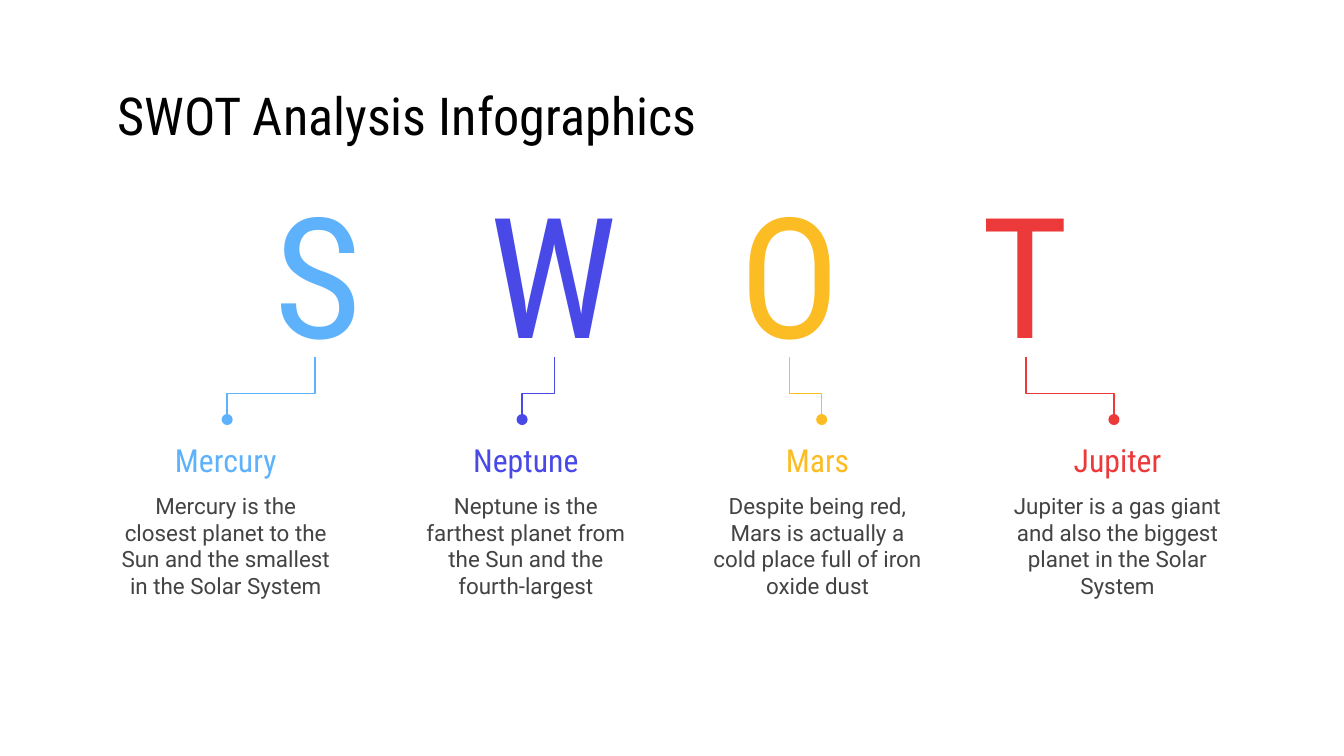
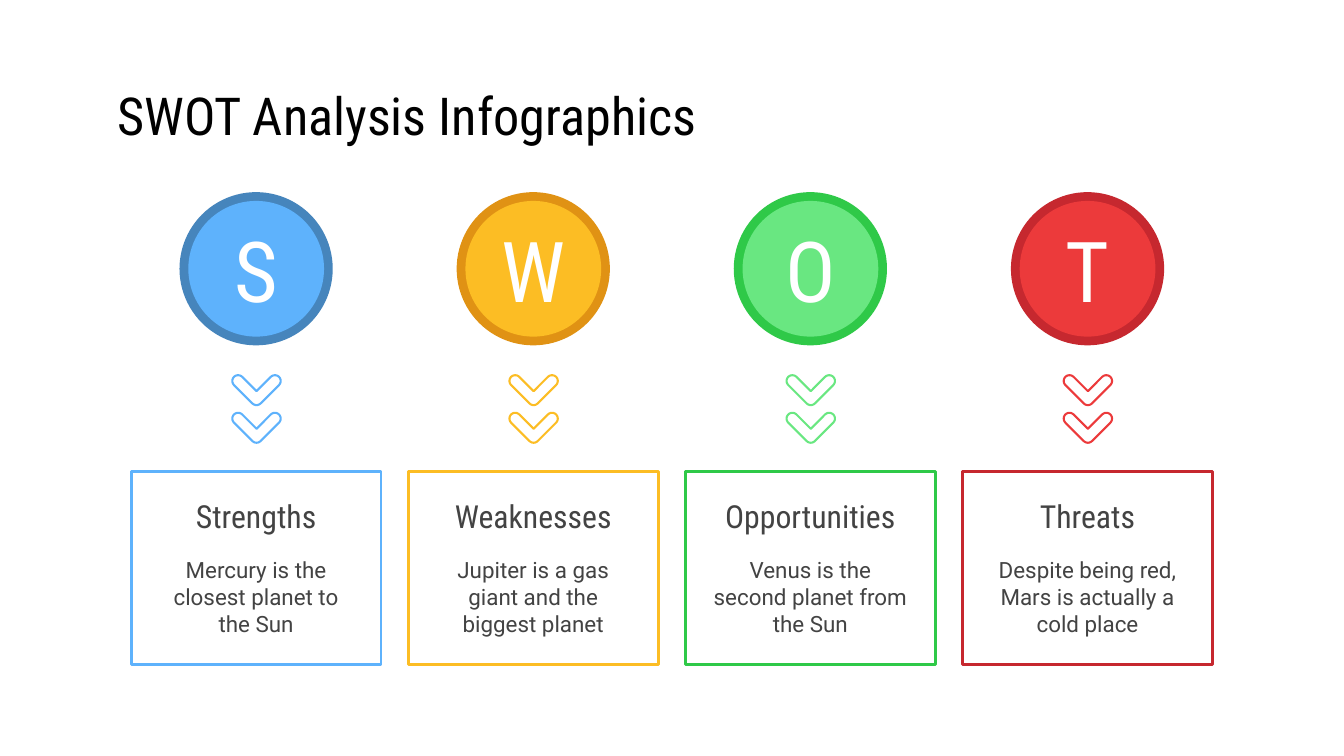
from dataclasses import dataclass
from math import cos, radians, sin

from lxml import etree
from pptx import Presentation
from pptx.dml.color import RGBColor
from pptx.enum.shapes import MSO_SHAPE
from pptx.enum.text import MSO_ANCHOR, PP_ALIGN
from pptx.oxml.ns import qn
from pptx.util import Inches, Pt

RECT, OVAL = MSO_SHAPE.RECTANGLE, MSO_SHAPE.OVAL
LEFT, CENTER = PP_ALIGN.LEFT, PP_ALIGN.CENTER
MIDDLE = MSO_ANCHOR.MIDDLE

# A 16:9 slide on a grid of 100 columns by 56.25 rows
WIDE = Inches(10)
HIGH = WIDE * 9 // 16
COL, ROW = WIDE / 100, HIGH / 56.25
INSET = Inches(0.1)

# Shared style
HEAD, BODY = "Roboto Condensed", "Roboto"
BLACK, WHITE, GREY = "000000", "FFFFFF", "434343"
BLUE, VIOLET, GOLD, RED = "5EB2FC", "4949E7", "FCBD24", "EC3A3B"
NAVY, AMBER, GREEN, LIME, WINE = "4685BC", "E09214", "2FC948", "69E781", "C6282F"


@dataclass(frozen=True)
class Area:
    """A place on the grid: columns across, rows down."""
    x: float
    y: float
    w: float
    h: float

    def emu(self) -> list[int]:
        return [round(v) for v in (self.x * COL, self.y * ROW,
                                   self.w * COL, self.h * ROW)]


@dataclass(frozen=True)
class Style:
    font: str
    size: int
    color: str
    align: PP_ALIGN = CENTER


@dataclass(frozen=True)
class Planet:
    letter: str
    name: str
    note: str
    color: str
    left: float   # left edge of name and note
    start: float  # column where the elbow leaves the letter
    end: float    # column of the dot


@dataclass(frozen=True)
class Card:
    letter: str
    name: str
    note: str
    color: str
    ring: str
    frame: str


TITLE = Style(HEAD, 28, BLACK, LEFT)
NOTE = Style(BODY, 12, GREY)

PLANETS = [
    Planet("S", "Mercury", "Mercury is the closest planet to the Sun and the "
           "smallest in the Solar System", BLUE, 7.75, 23.43, 16.9),
    Planet("W", "Neptune", "Neptune is the farthest planet from the Sun and "
           "the fourth-largest", VIOLET, 30.08, 41.25, 38.85),
    Planet("O", "Mars", "Despite being red, Mars is actually a cold place "
           "full of iron oxide dust", GOLD, 51.78, 58.74, 61.14),
    Planet("T", "Jupiter", "Jupiter is a gas giant and also the biggest "
           "planet in the Solar System", RED, 74.1, 76.35, 82.88),
]

CARDS = [
    Card("S", "Strengths", "Mercury is the closest planet to the Sun",
         BLUE, NAVY, BLUE),
    Card("W", "Weaknesses", "Jupiter is a gas giant and the biggest planet",
         GOLD, AMBER, GOLD),
    Card("O", "Opportunities", "Venus is the second planet from the Sun",
         LIME, GREEN, GREEN),
    Card("T", "Threats", "Despite being red, Mars is actually a cold place",
         RED, WINE, WINE),
]


def paint(color: str) -> RGBColor:
    return RGBColor.from_string(color)


def write(shape, text: str, style: Style) -> None:
    frame = shape.text_frame
    frame.word_wrap = True
    frame.vertical_anchor = MIDDLE
    frame.margin_left = frame.margin_right = INSET
    frame.margin_top = frame.margin_bottom = INSET
    para = frame.paragraphs[0]
    para.text, para.alignment = text, style.align
    para.font.name, para.font.size = style.font, Pt(style.size)
    para.font.color.rgb = paint(style.color)


def add_text(slide, area: Area, text: str, style: Style) -> None:
    write(slide.shapes.add_textbox(*area.emu()), text, style)


def outline(shape, color: str, width: float, dot: bool = False) -> None:
    """Leave the shape hollow and give it a round-joined line."""
    shape.shadow.inherit = False
    shape.fill.background()
    shape.line.color.rgb = paint(color)
    shape.line.width = Pt(width)
    line = shape.line.fill._xPr
    etree.SubElement(line, qn("a:round"))
    if dot:
        etree.SubElement(line, qn("a:tailEnd"), type="oval", w="med", len="med")


def add_path(slide, points: list[tuple[float, float]], close: bool):
    spots = [(round(x * COL), round(y * ROW)) for x, y in points]
    build = slide.shapes.build_freeform(*spots[0])
    build.add_line_segments(spots[1:], close=close)
    return build.convert_to_shape()


def add_disc(slide, mid: float, size: float, color: str):
    area = Area(mid - size / 2, 20 - size / 2, size, size)
    disc = slide.shapes.add_shape(OVAL, *area.emu())
    disc.shadow.inherit = False
    disc.fill.solid()
    disc.fill.fore_color.rgb = paint(color)
    disc.line.fill.background()
    return disc


def add_arrow(slide, mid: float, top: float, color: str) -> None:
    """A hollow chevron: two arms at 45 degrees with rounded ends."""
    reach, bend = 1.37, 0.43
    high, low = top + 0.55, top + 0.55 + reach
    points = [(mid, low - bend * 2 ** 0.5)]
    arcs = [(mid + reach, high, -135, 45), (mid, low, 45, 135),
            (mid - reach, high, 135, 315)]
    for x, y, first, last in arcs:
        points += [(x + bend * cos(radians(a)), y + bend * sin(radians(a)))
                   for a in range(first, last + 1, 15)]
    outline(add_path(slide, points, True), color, 1.1)


def add_planet(slide, index: int, item: Planet) -> None:
    name = Style(HEAD, 17, item.color)
    letter = Style(HEAD, 90, item.color)
    add_text(slide, Area(16.1 + 17.55 * index, 14.7, 15.1, 11), item.letter, letter)
    add_text(slide, Area(item.left, 35.64, 18.1, 9.9), item.note, NOTE)
    add_text(slide, Area(item.left, 31.84, 18.1, 4.7), item.name, name)
    elbow = [(item.start, 26.6), (item.start, 29.3),
             (item.end, 29.3), (item.end, 31.22)]
    outline(add_path(slide, elbow, False), item.color, 0.75, dot=True)


def add_card(slide, index: int, item: Card) -> None:
    left = 9.76 + 20.62 * index
    mid = left + 9.3
    box = slide.shapes.add_shape(RECT, *Area(left, 35.1, 18.6, 14.34).emu())
    outline(box, item.frame, 1.5)
    for top in (27.8, 30.6):
        add_arrow(slide, mid + 0.03, top, item.color)
    add_disc(slide, mid, 11.4, item.ring)
    write(add_disc(slide, mid, 10.1, item.color), item.letter, Style(HEAD, 45, WHITE))
    add_text(slide, Area(left + 0.95, 40.2, 16.7, 8.4), item.note, NOTE)
    add_text(slide, Area(left + 0.95, 36, 16.7, 4.7), item.name, Style(HEAD, 17, GREY))


def main() -> None:
    deck = Presentation()
    deck.slide_width, deck.slide_height = WIDE, HIGH
    for items, draw in ((PLANETS, add_planet), (CARDS, add_card)):
        slide = deck.slides.add_slide(deck.slide_layouts[6])
        add_text(slide, Area(7.75, 5.9, 84.5, 5.3), "SWOT Analysis Infographics", TITLE)
        for index, item in enumerate(items):
            draw(slide, index, item)
    deck.save("out.pptx")


if __name__ == "__main__":
    main()
